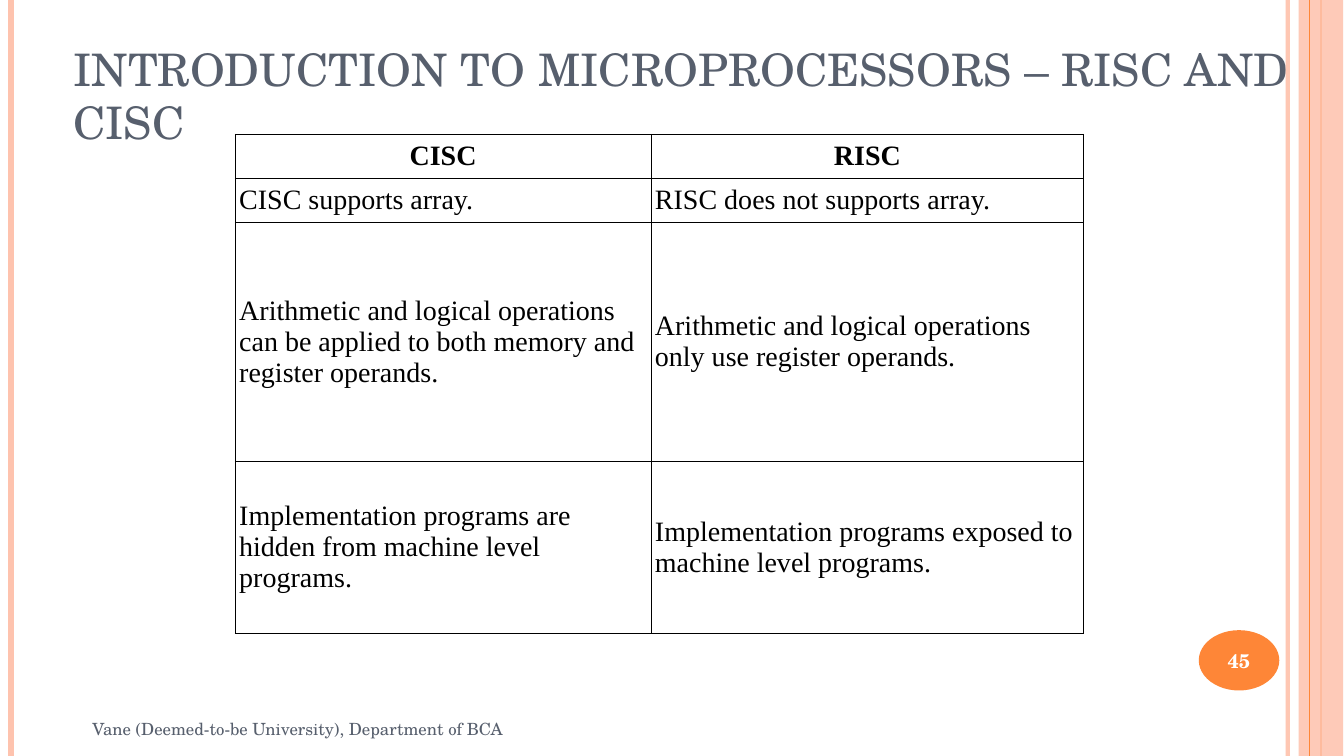
from dataclasses import dataclass

from pptx import Presentation
from pptx.dml.color import RGBColor
from pptx.enum import shapes, text
from pptx.oxml import parse_xml
from pptx.oxml.ns import nsdecls, qn
from pptx.util import Cm, Pt
from lxml import etree


@dataclass(frozen=True)
class Theme:
    """Colours, fonts and type sizes of the slide."""
    orange: str = "FE8637"
    peach: str = "FEC3AE"
    slate: str = "575F6D"
    black: str = "000000"
    white: str = "FFFFFF"
    serif: str = "TeX Gyre Schola"
    body: str = "Times New Roman"
    title_size: int = 32
    table_size: int = 20
    number_size: int = 14
    footer_size: int = 12


THEME = Theme()
WIDTH, HEIGHT = 33.88, 19.05

TITLE = "INTRODUCTION TO MICROPROCESSORS – RISC AND CISC"
FOOTER = "Vane (Deemed-to-be University), Department of BCA"
PAGE_NUMBER = "45"
COMPARISON = [
    ("CISC", "RISC"),
    ("CISC supports array.", "RISC does not supports array."),
    ("Arithmetic and logical operations can be applied to both memory and register operands.",
     "Arithmetic and logical operations only use register operands."),
    ("Implementation programs are hidden from machine level programs.",
     "Implementation programs exposed to machine level programs."),
]
COLUMN_WIDTHS = (10.48, 10.91)
ROW_HEIGHTS = (1.11, 1.11, 6.02, 4.34)
# x in cm, colour, width in points, opacity in percent
STRIPES = [
    (32.46, THEME.peach, 3, 93),
    (0.28, THEME.peach, 4.5, 100),
    (33.3, THEME.orange, 1.5, 100),
]
BAND_EDGE = (33.02, THEME.orange, 0.75, 100)


def rgb(colour):
    """Turn a hex string into a colour object."""
    return RGBColor.from_string(colour)


def set_opacity(element, percent):
    """Make the solid colour inside an element partly transparent."""
    colour = element.find(".//" + qn("a:srgbClr"))
    etree.SubElement(colour, qn("a:alpha")).set("val", str(percent * 1000))


def add_stripe(page, x, colour, width, opacity):
    """Draw a vertical line over the full height of the slide."""
    stripe = page.shapes.add_connector(
        shapes.MSO_CONNECTOR.STRAIGHT, Cm(x), Cm(0), Cm(x), Cm(HEIGHT))
    stripe.line.color.rgb = rgb(colour)
    stripe.line.width = Pt(width)
    if opacity < 100:
        set_opacity(stripe.line._get_or_add_ln(), opacity)
    etree.SubElement(stripe._element.spPr, qn("a:effectLst"))


def add_filled(page, kind, place, colour):
    """Add a borderless preset shape in one colour."""
    shape = page.shapes.add_shape(kind, *map(Cm, place))
    shape.shadow.inherit = False
    shape.fill.solid()
    shape.fill.fore_color.rgb = rgb(colour)
    shape.line.fill.background()
    return shape


def write(frame, words, font, size, colour, bold=False, align=text.PP_ALIGN.LEFT):
    """Write one formatted paragraph into a text frame."""
    frame.word_wrap = True
    para = frame.paragraphs[0]
    para.text = words
    para.alignment = align
    para.font.name = font
    para.font.size = Pt(size)
    para.font.bold = bold
    para.font.color.rgb = rgb(colour)


def add_borders(cell):
    """Draw a thin black line on all four sides of a cell."""
    properties = cell._tc.get_or_add_tcPr()
    for position, side in enumerate(("lnL", "lnR", "lnT", "lnB")):
        properties.insert(position, parse_xml(
            f'<a:{side} {nsdecls("a")} w="{Pt(0.5)}"><a:solidFill>'
            f'<a:srgbClr val="{THEME.black}"/></a:solidFill></a:{side}>'))


def add_comparison(page):
    """Build the CISC and RISC table."""
    table = page.shapes.add_table(
        len(COMPARISON), len(COLUMN_WIDTHS), Cm(5.93), Cm(3.38),
        Cm(sum(COLUMN_WIDTHS)), Cm(sum(ROW_HEIGHTS))).table
    table.first_row = table.horz_banding = False
    for column, width in zip(table.columns, COLUMN_WIDTHS):
        column.width = Cm(width)
    for r, (row, height, texts) in enumerate(zip(table.rows, ROW_HEIGHTS, COMPARISON)):
        row.height = Cm(height)
        header = r == 0
        for cell, words in zip(row.cells, texts):
            cell.fill.solid()
            cell.fill.fore_color.rgb = rgb(THEME.white)
            cell.vertical_anchor = text.MSO_ANCHOR.MIDDLE
            cell.margin_left = cell.margin_right = Cm(0.05 if header else 0.1)
            write(cell.text_frame, words, THEME.body, THEME.table_size, THEME.black, header,
                  text.PP_ALIGN.CENTER if header else text.PP_ALIGN.LEFT)
            add_borders(cell)


def add_title(page):
    """Place and format the title placeholder."""
    title = page.shapes.title
    title.left, title.top, title.width, title.height = map(Cm, (1.85, 1.04, 30.9, 2.74))
    frame = title.text_frame
    frame.margin_left = frame.margin_right = frame.margin_top = frame.margin_bottom = 0
    frame.auto_size = text.MSO_AUTO_SIZE.NONE
    frame.vertical_anchor = text.MSO_ANCHOR.TOP
    write(frame, TITLE, THEME.serif, THEME.title_size, THEME.slate)


def add_footer(page):
    """Add the department line at the bottom."""
    frame = page.shapes.add_textbox(*map(Cm, (2.08, 17.7, 15.09, 1.35))).text_frame
    frame.vertical_anchor = text.MSO_ANCHOR.MIDDLE
    write(frame, FOOTER, THEME.serif, THEME.footer_size, THEME.slate)
    frame.paragraphs[0].space_before = Pt(1)


deck = Presentation()
deck.slide_width, deck.slide_height = Cm(WIDTH), Cm(HEIGHT)
page = deck.slides.add_slide(deck.slide_layouts[5])

for stripe in STRIPES:
    add_stripe(page, *stripe)
band = add_filled(page, shapes.MSO_SHAPE.RECTANGLE, (32.74, 0, 1.12, HEIGHT), THEME.peach)
set_opacity(band._element.spPr, 87)
add_stripe(page, *BAND_EDGE)

badge = add_filled(page, shapes.MSO_SHAPE.OVAL, (30.22, 15.88, 2.03, 1.52), THEME.orange)
badge.text_frame.margin_left = badge.text_frame.margin_right = 0
badge.text_frame.vertical_anchor = text.MSO_ANCHOR.MIDDLE
write(badge.text_frame, PAGE_NUMBER, THEME.serif, THEME.number_size, THEME.white, True,
      text.PP_ALIGN.CENTER)

add_title(page)
add_comparison(page)
add_footer(page)
deck.save("out.pptx")
